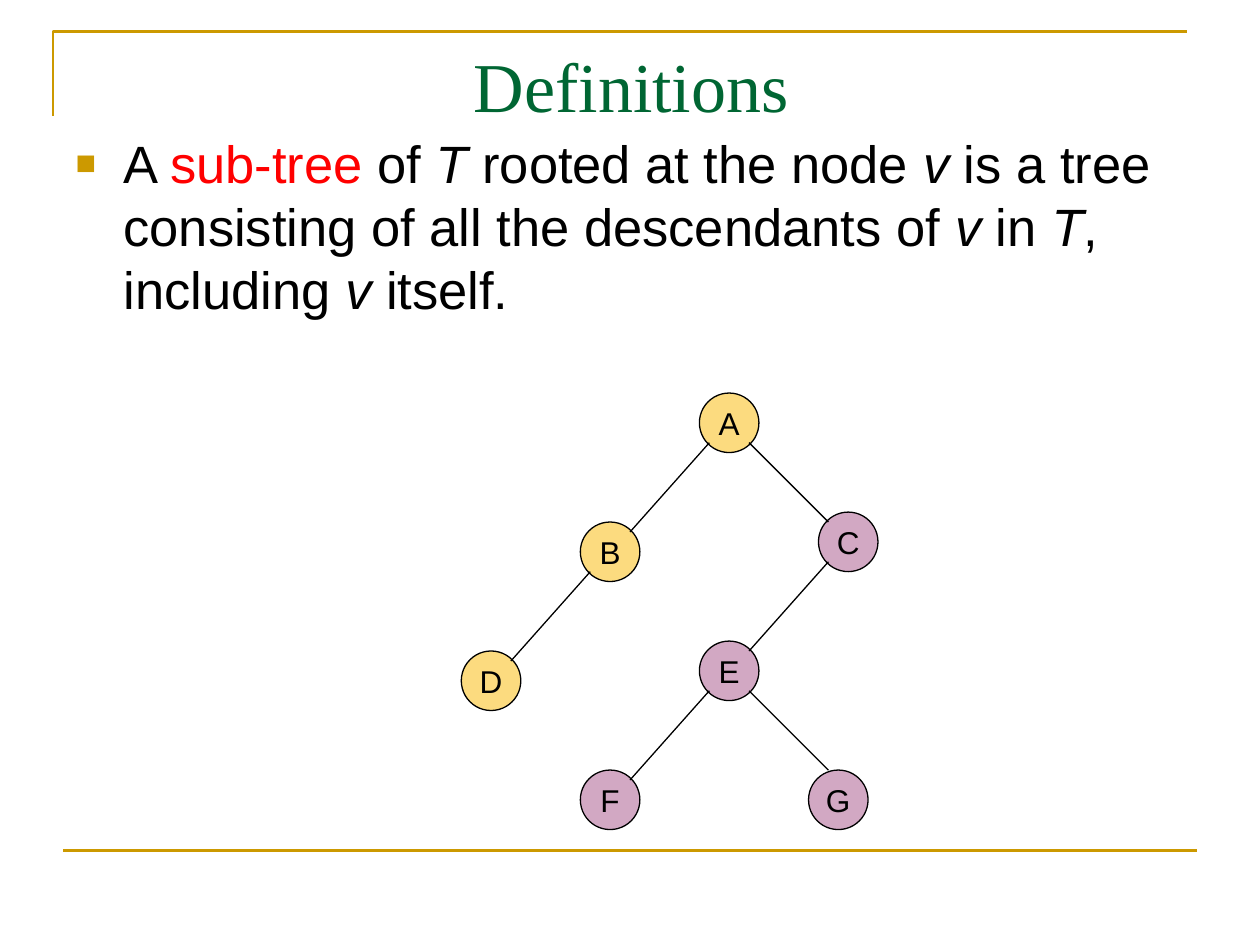
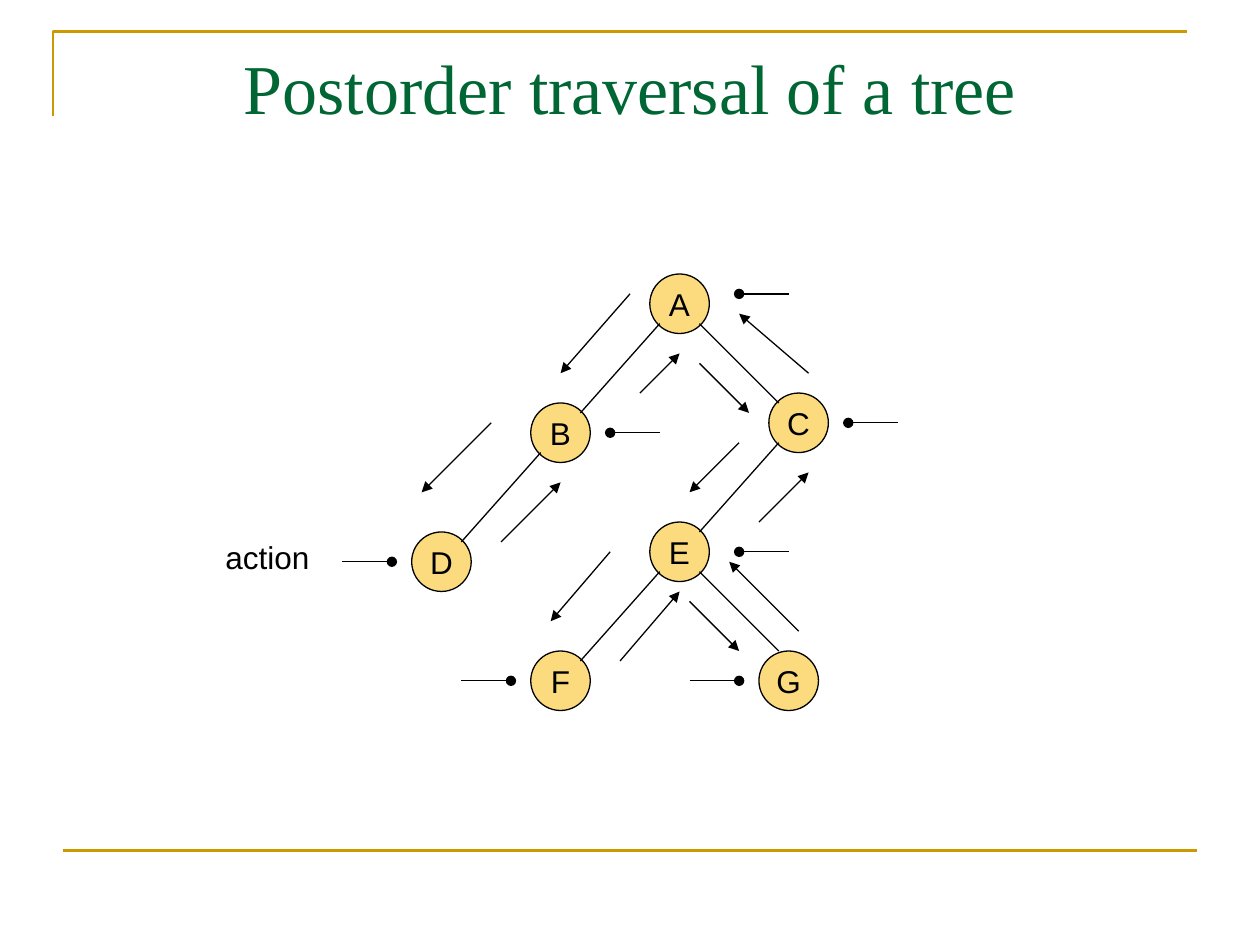
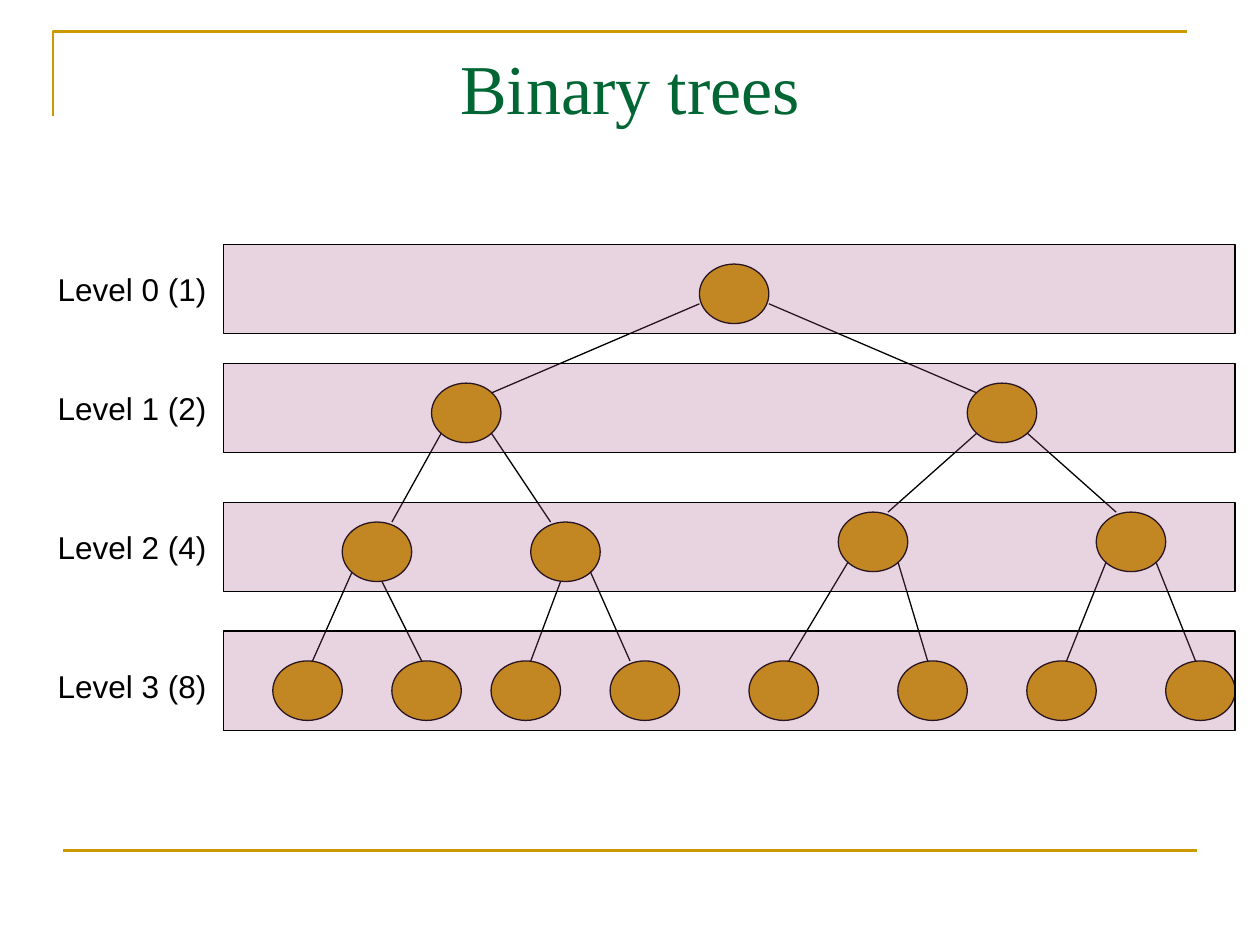
from dataclasses import dataclass

from pptx import Presentation
from pptx.dml.color import RGBColor
from pptx.enum.shapes import MSO_CONNECTOR as Connector, MSO_SHAPE as Preset
from pptx.enum.text import MSO_ANCHOR as Anchor, MSO_AUTO_SIZE as AutoSize, PP_ALIGN as Align
from pptx.oxml.ns import qn
from pptx.oxml.xmlchemy import OxmlElement
from pptx.util import Inches, Mm, Pt


@dataclass(frozen=True)
class Theme:
    gold: str = "CC9900"
    green: str = "006633"
    red: str = "FF0000"
    black: str = "000000"
    amber: str = "FAB900"
    plum: str = "A75389"
    title_font: str = "Times New Roman"
    text_font: str = "Arial"
    title_size: float = 40
    body_size: float = 30
    label_size: float = 18
    frame_width: float = 1.5
    line_width: float = 0.75


THEME = Theme()
CELL = Mm(2)  # both tree drawings sit on a 2 mm grid
TITLE_ONLY, TITLE_AND_BODY = 5, 1

# Lettered tree: top-left corner of each node, in cells from node A
NODE_SIZE = 6
NODES = {"A": (0, 0), "B": (-12, 13), "C": (12, 12), "D": (-24, 26),
         "E": (0, 25), "F": (-12, 38), "G": (11, 38)}
LEFT_EDGES = ("AB", "BD", "CE", "EF")
RIGHT_EDGES = {"AC": (1, 1), "EG": (2, 0)}  # where the edge meets the child
TRAVERSAL_ORIGIN = (65.5, 27.62)
SUBTREE_ORIGIN = (70.5, 39.62)

WALK = [((-2, 2), (-9, 10)), ((-16, 15), (-23, 22)), ((-15, 27), (-9, 21)),
        ((-1, 12), (3, 8)), ((5, 9), (10, 14)), ((9, 17), (4, 22)),
        ((-4, 28), (-10, 35)), ((-3, 39), (3, 32)), ((4, 33), (9, 38)),
        ((15, 36), (8, 29)), ((11, 25), (16, 20)), ((16, 10), (9, 4))]
ACTION_LENGTH = 5
ACTIONS_FROM_LEFT = [(-26, 29), (-14, 41), (9, 41)]
ACTIONS_FROM_RIGHT = [(-4, 16), (9, 28), (20, 15), (9, 2)]

# Full tree: cells from the top-left corner of the first band
LEVELS_ORIGIN = (22.5, 24.62)
OVAL_WIDTH, OVAL_HEIGHT, BAND_WIDTH = 7, 6, 102
BANDS = [(0, 9), (12, 9), (26, 9), (39, 10)]  # row, height
LEVELS = [
    [(48, 2)],
    [(21, 14), (75, 14)],
    [(12, 28), (31, 28), (62, 27), (88, 27)],
    [(column, 42) for column in (5, 17, 27, 39, 53, 68, 81, 95)],
]
# Per level: (offset on parent, offset on child) for left and right children
PORTS = {1: (((0, 4), (6, 1)), ((7, 4), (1, 1))),
         2: (((1, 5), (5, 0)), ((6, 5), (2, 0))),
         3: (((1, 5), (4, 0)), ((6, 5), (3, 0)))}
INNER_PORTS = {(3, 1): ((4, 6), (3, 0)), (3, 2): ((3, 6), (4, 0)),
               (3, 3): ((6, 5), (2, 0))}


def shift(point, offset):
    return point[0] + offset[0], point[1] + offset[1]


def cells(*counts):
    return [round(count * CELL) for count in counts]


def colour(name):
    return RGBColor.from_string(name)


def style_line(line, line_colour=THEME.black, width=THEME.line_width):
    line.color.rgb = colour(line_colour)
    line.width = Pt(width)


def style_runs(paragraph, size, font=THEME.text_font, text_colour=THEME.black):
    for run in paragraph.runs:
        run.font.size = Pt(size)
        run.font.name = font
        run.font.color.rgb = colour(text_colour)


def add_xml(parent, tag, **attributes):
    element = OxmlElement(tag)
    for name, value in attributes.items():
        element.set(name, str(value))
    parent.append(element)
    return element


def add_line(slide, start, end, line_colour=THEME.black, width=THEME.line_width, tip=None):
    """Draw a straight line between two points in EMU, with a tip at its end."""
    connector = slide.shapes.add_connector(Connector.STRAIGHT, *start, *end)
    style_line(connector.line, line_colour, width)
    if tip:
        add_xml(connector.line._get_or_add_ln(), "a:tailEnd", type=tip)
    add_xml(connector._element.spPr, "a:effectLst")


def add_grid_line(slide, origin, start, end, tip=None):
    add_line(slide, cells(*shift(origin, start)), cells(*shift(origin, end)), tip=tip)


def add_figure(slide, preset, corner, size, fill, opacity=100):
    shape = slide.shapes.add_shape(preset, *cells(*corner, *size))
    shape.shadow.inherit = False
    shape.fill.solid()
    shape.fill.fore_color.rgb = colour(fill)
    if opacity < 100:
        solid = shape._element.spPr.find(qn("a:solidFill"))
        add_xml(solid[0], "a:alpha", val=opacity * 1000)
    style_line(shape.line)
    return shape


def add_label(slide, text, left, top, width):
    box = slide.shapes.add_textbox(left, top, width, Inches(0.4))
    frame = box.text_frame
    frame.text = text
    frame.word_wrap = False
    frame.auto_size = AutoSize.SHAPE_TO_FIT_TEXT
    style_runs(frame.paragraphs[0], THEME.label_size)


def add_frame(slide):
    corner = slide.shapes.build_freeform(Inches(0.42), Inches(0.92))
    corner.add_line_segments([(Inches(0.42), Inches(0.25)),
                              (Inches(9.42), Inches(0.25))], close=False)
    shape = corner.convert_to_shape()
    shape.shadow.inherit = False
    shape.fill.background()
    style_line(shape.line, THEME.gold, THEME.frame_width)
    add_line(slide, (Inches(0.5), Inches(6.75)), (Inches(9.5), Inches(6.75)),
             THEME.gold, THEME.frame_width)


def place(shape, left, top, width, height):
    shape.left, shape.top = Inches(left), Inches(top)
    shape.width, shape.height = Inches(width), Inches(height)


def add_slide(presentation, title, layout=TITLE_ONLY, left=0.5, top=0.3):
    slide = presentation.slides.add_slide(presentation.slide_layouts[layout])
    add_frame(slide)
    place(slide.shapes.title, left, top, 9, 0.85)
    frame = slide.shapes.title.text_frame
    frame.text = title
    frame.auto_size = AutoSize.NONE
    frame.vertical_anchor = Anchor.MIDDLE
    frame.margin_bottom = Inches(0.12)
    frame.paragraphs[0].alignment = Align.CENTER
    style_runs(frame.paragraphs[0], THEME.title_size, THEME.title_font, THEME.green)
    return slide


def fill_definition(body):
    place(body, 0.5, 0.99, 9, 5.71)
    frame = body.text_frame
    frame.auto_size = AutoSize.NONE
    paragraph = frame.paragraphs[0]
    paragraph.space_before = Pt(7.5)
    paragraph.line_spacing = 1.0
    pieces = ["A ", "sub-tree ", "of ", "T ", "rooted at the node ", "v",
              " is a tree consisting of all the descendants of ", "v", " in ",
              "T", ", including ", "v ", "itself."]
    for piece in pieces:
        run = paragraph.add_run()
        run.text = piece
        run.font.italic = piece.strip() in ("T", "v")
    style_runs(paragraph, THEME.body_size)
    paragraph.runs[1].font.color.rgb = colour(THEME.red)

    properties = paragraph._p.get_or_add_pPr()
    properties.set("marL", str(Inches(0.38)))
    properties.set("indent", str(-Inches(0.38)))
    add_xml(add_xml(properties, "a:buClr"), "a:srgbClr", val=THEME.gold)
    add_xml(properties, "a:buSzPct", val=65000)
    add_xml(properties, "a:buFont", typeface=THEME.text_font)
    add_xml(properties, "a:buChar", char="■")


def add_lettered_tree(slide, origin, highlighted=""):
    for letter, corner in NODES.items():
        fill = THEME.plum if letter in highlighted else THEME.amber
        node = add_figure(slide, Preset.OVAL, shift(origin, corner),
                          (NODE_SIZE, NODE_SIZE), fill, opacity=50)
        frame = node.text_frame
        frame.text = letter
        frame.word_wrap = False
        frame.vertical_anchor = Anchor.MIDDLE
        frame.paragraphs[0].alignment = Align.CENTER
        style_runs(frame.paragraphs[0], THEME.label_size)
    for parent, child in LEFT_EDGES:
        add_grid_line(slide, origin, shift(NODES[parent], (1, 5)),
                      shift(NODES[child], (5, 1)))
    for (parent, child), port in RIGHT_EDGES.items():
        add_grid_line(slide, origin, shift(NODES[parent], (5, 5)),
                      shift(NODES[child], port))


def add_traversal(slide, origin):
    for start, end in WALK:
        add_grid_line(slide, origin, start, end, tip="triangle")
    for dots, reach in ((ACTIONS_FROM_LEFT, -ACTION_LENGTH),
                        (ACTIONS_FROM_RIGHT, ACTION_LENGTH)):
        for dot in dots:
            add_grid_line(slide, origin, shift(dot, (reach, 0)), dot, tip="oval")
    add_label(slide, "action", Inches(1.69), Inches(4.22), Inches(0.9))


def add_full_tree(slide, origin):
    for level in LEVELS:
        for corner in level:
            add_figure(slide, Preset.OVAL, shift(origin, corner),
                       (OVAL_WIDTH, OVAL_HEIGHT), THEME.gold)
    for depth, ports in PORTS.items():
        for index, child in enumerate(LEVELS[depth]):
            parent = LEVELS[depth - 1][index // 2]
            start, end = INNER_PORTS.get((depth, index), ports[index % 2])
            add_grid_line(slide, origin, shift(parent, start), shift(child, end))


def add_level_bands(slide, origin):
    """Lay translucent bands over the tree and name each level beside its band."""
    for depth, (row, height) in enumerate(BANDS):
        add_figure(slide, Preset.RECTANGLE, shift(origin, (0, row)),
                   (BAND_WIDTH, height), THEME.plum, opacity=25)
        label_row = origin[1] + row + height - 7
        add_label(slide, f"Level {depth} ({2 ** depth})", Inches(0.36),
                  cells(label_row)[0], Inches(1.4))


def main():
    presentation = Presentation()
    presentation.slide_width, presentation.slide_height = Inches(10), Inches(7.5)

    definitions = add_slide(presentation, "Definitions", TITLE_AND_BODY, 0.51, 0.28)
    fill_definition(definitions.placeholders[1])
    add_lettered_tree(definitions, SUBTREE_ORIGIN, highlighted="CEFG")

    postorder = add_slide(presentation, "Postorder traversal of a tree")
    add_lettered_tree(postorder, TRAVERSAL_ORIGIN)
    add_traversal(postorder, TRAVERSAL_ORIGIN)

    binary = add_slide(presentation, "Binary trees")
    add_full_tree(binary, LEVELS_ORIGIN)
    add_level_bands(binary, LEVELS_ORIGIN)

    presentation.save("out.pptx")


if __name__ == "__main__":
    main()
